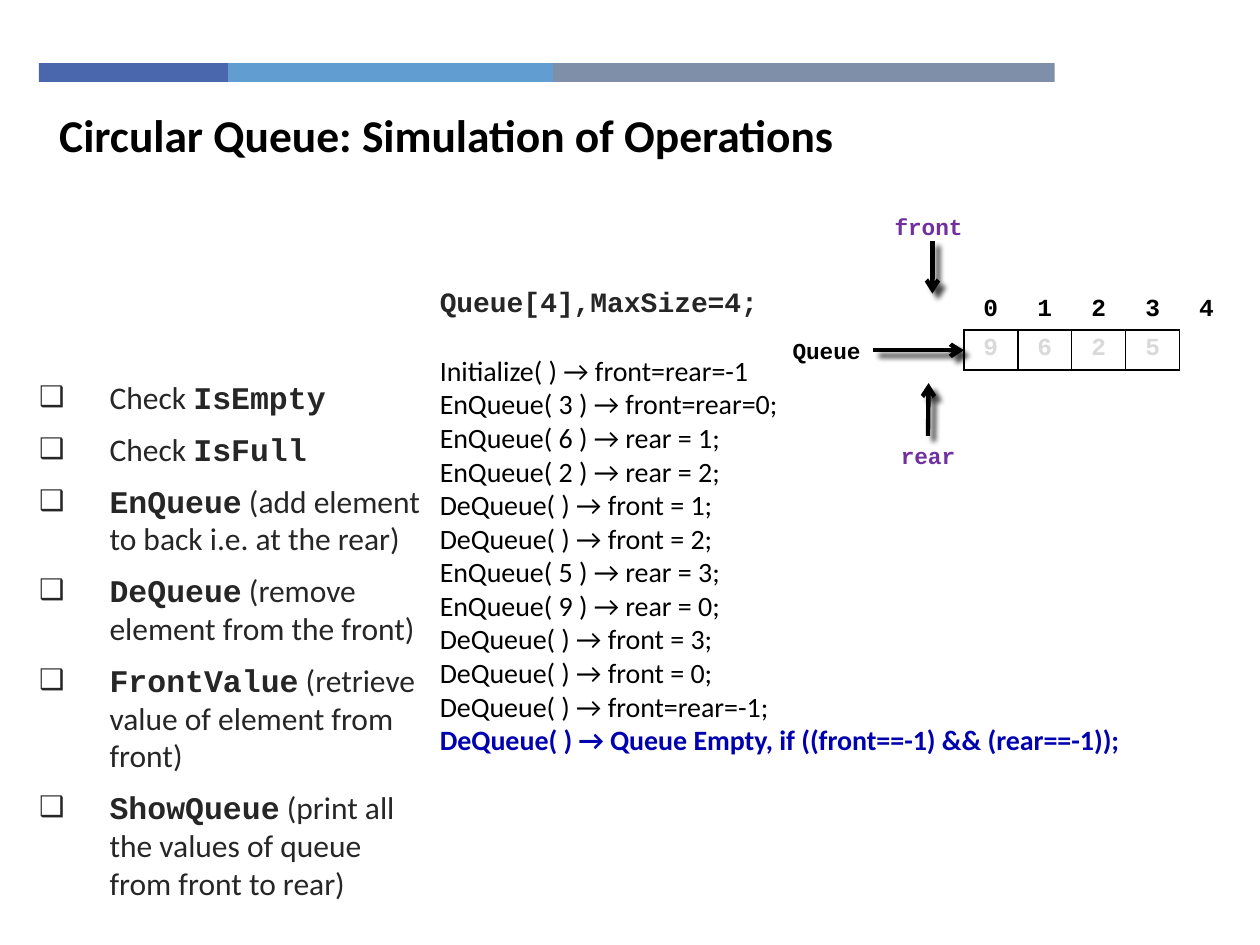
from lxml import etree
from pptx import Presentation
from pptx.dml.color import RGBColor
from pptx.enum.shapes import MSO_CONNECTOR, MSO_SHAPE
from pptx.enum.text import MSO_ANCHOR, MSO_AUTO_SIZE, PP_ALIGN
from pptx.oxml.ns import qn
from pptx.util import Pt

PX = 9144  # 100 px to the inch
RECT = MSO_SHAPE.RECTANGLE
LINE = MSO_CONNECTOR.STRAIGHT
TOP = MSO_ANCHOR.TOP
FIT, FIXED = MSO_AUTO_SIZE.SHAPE_TO_FIT_TEXT, MSO_AUTO_SIZE.NONE
LEFT, CENTER = PP_ALIGN.LEFT, PP_ALIGN.CENTER

BLACK = RGBColor(0x00, 0x00, 0x00)
DARK = RGBColor(0x26, 0x26, 0x26)
PALE = RGBColor(0xD9, 0xD9, 0xD9)
PURPLE = RGBColor(0x70, 0x30, 0xA0)
NAVY = RGBColor(0x00, 0x00, 0xB0)
BARS = [
    (150, RGBColor(0x4A, 0x66, 0xAC)),
    (258, RGBColor(0x62, 0x9D, 0xD1)),
    (398, RGBColor(0x7F, 0x8F, 0xA9)),
]
SANS, MONO = "Calibri", "Courier New"

TASKS = [
    [("Check ", SANS), ("IsEmpty", MONO)],
    [("Check ", SANS), ("IsFull", MONO)],
    [("EnQueue", MONO), (" (add element to back i.e. at the rear)", SANS)],
    [("DeQueue", MONO), (" (remove element from the front)", SANS)],
    [("FrontValue", MONO), (" (retrieve value of element from front)", SANS)],
    [("ShowQueue", MONO), (" (print all the values of queue from front to rear)", SANS)],
]
SETUP = "Queue[4],MaxSize=4;"
STEPS = [
    "Initialize( ) → front=rear=-1",
    "EnQueue( 3 ) → front=rear=0;",
    "EnQueue( 6 ) → rear = 1;",
    "EnQueue( 2 ) → rear = 2;",
    "DeQueue( ) → front = 1;",
    "DeQueue( ) → front = 2;",
    "EnQueue( 5 ) → rear = 3;",
    "EnQueue( 9 ) → rear = 0;",
    "DeQueue( ) → front = 3;",
    "DeQueue( ) → front = 0;",
    "DeQueue( ) → front=rear=-1;",
]
LAST = "DeQueue( ) → Queue Empty, if ((front==-1) && (rear==-1));"
CELLS = [["0", "1", "2", "3", "4"], ["9", "6", "2", "5", ""]]


def px(*nums):
    return [round(n * PX) for n in nums]


def add(node, tag, **attrs):
    return etree.SubElement(node, qn(tag), {k: str(v) for k, v in attrs.items()})


def style(run, size, face, color, bold=False):
    font = run.font
    font.size, font.name, font.bold = Pt(size), face, bold
    font.color.rgb = color


def place(holder, box):
    """Move a placeholder to its box and return its text frame."""
    holder.left, holder.top, holder.width, holder.height = px(*box)
    frame = holder.text_frame
    frame.word_wrap, frame.auto_size = True, FIXED
    frame.vertical_anchor = TOP
    return frame


def next_para(frame, i):
    return frame.add_paragraph() if i else frame.paragraphs[0]


def add_bars(slide, x, y, high):
    for wide, color in BARS:
        bar = slide.shapes.add_shape(RECT, *px(x, y, wide, high))
        bar.shadow.inherit = False
        bar.fill.solid()
        bar.fill.fore_color.rgb = color
        bar.line.fill.background()
        x += wide


def fill_title(holder, box):
    para = place(holder, box).paragraphs[0]
    para.text = "Circular Queue: Simulation of Operations"
    para.alignment = LEFT
    style(para.runs[0], 26, SANS, BLACK, True)


def fill_tasks(holder, box):
    frame = place(holder, box)
    for i, parts in enumerate(TASKS):
        para = next_para(frame, i)
        para.space_before = para.space_after = Pt(4)
        for text, face in parts:
            run = para.add_run()
            run.text = text
            style(run, 18, face, DARK, face == MONO)
        props = para._p.get_or_add_pPr()
        props.set("marL", str(56 * PX))
        props.set("indent", str(-56 * PX))
        add(props, "a:buSzPct", val=90000)
        add(props, "a:buChar", char="❑")


def fill_steps(holder, box):
    frame = place(holder, box)
    rows = [(SETUP, MONO, DARK, True)]
    rows += [(step, SANS, BLACK, False) for step in STEPS]
    rows.append((LAST, SANS, NAVY, True))
    for i, (text, face, color, bold) in enumerate(rows):
        para = next_para(frame, i)
        para.text = text
        para.space_before = Pt(20 if i == 1 else 0)
        style(para.runs[0], 16, face, color, bold)
        props = para._p.get_or_add_pPr()
        props.set("marL", "0")
        props.set("indent", "0")
        add(props, "a:buNone")


def add_edges(cell, sides):
    props = cell._tc.get_or_add_tcPr()
    for side in sides:
        edge = add(props, "a:ln" + side, w=12700)
        add(add(edge, "a:solidFill"), "a:srgbClr", val=BLACK)


def add_cells(slide, x, y, wide, high):
    rows, cols = len(CELLS), len(CELLS[0])
    table = slide.shapes.add_table(rows, cols, *px(x, y, wide, high)).table
    table.first_row = table.horz_banding = False
    for r, line in enumerate(CELLS):
        for c, text in enumerate(line):
            cell = table.cell(r, c)
            cell.margin_left = cell.margin_right = 7 * PX
            cell.margin_top = cell.margin_bottom = 4 * PX
            if c < cols - 1:
                add_edges(cell, "LRTB" if r else "B")
            elif r:
                add_edges(cell, "L")
            cell.fill.background()
            para = cell.text_frame.paragraphs[0]
            para.alignment = CENTER
            if text:
                para.text = text
                style(para.runs[0], 14, MONO, PALE if r else BLACK, True)
            else:
                add(para._p, "a:endParaRPr", sz=1400)


def add_label(slide, text, color, box):
    label = slide.shapes.add_textbox(*px(*box))
    frame = label.text_frame
    frame.word_wrap, frame.auto_size = False, FIT
    para = frame.paragraphs[0]
    para.text = text
    para.alignment = CENTER
    style(para.runs[0], 13, MONO, color, True)
    return label


def add_arrow(slide, start, end):
    arrow = slide.shapes.add_connector(LINE, *px(*start, *end))
    arrow.line.color.rgb = BLACK
    arrow.line.width = Pt(2.5)
    add(arrow.line._get_or_add_ln(), "a:tailEnd", type="arrow")
    cast = add(add(arrow._element.spPr, "a:effectLst"), "a:outerShdw",
               blurRad=Pt(3), dist=Pt(4.5), dir=2700000, rotWithShape=0)
    add(add(cast, "a:srgbClr", val=BLACK), "a:alpha", val=75000)
    return arrow


def add_queue(slide, x, y):
    """Draw the array with its labels and pointers from the corner x, y."""
    add_cells(slide, x + 146, y + 67, 214, 62)
    rear = add_label(slide, "rear", PURPLE, (x + 86, y + 182, 63, 32))
    add_arrow(slide, (x + 118, y + 182), (x + 118, y + 140)).begin_connect(rear, 0)
    add_label(slide, "front", PURPLE, (x + 80, y, 76, 32))
    add_arrow(slide, (x + 121, y + 27), (x + 121, y + 69))
    name = add_label(slide, "Queue", BLACK, (x, y + 98, 74, 32))
    add_arrow(slide, (x + 74, y + 114), (x + 146, y + 114)).begin_connect(name, 3)


def main():
    deck = Presentation()
    deck.slide_width, deck.slide_height = px(1000, 750)
    slide = deck.slides.add_slide(deck.slide_layouts[3])
    title, tasks, steps = list(slide.placeholders)[:3]
    add_bars(slide, 31, 50, 15)
    fill_title(title, (37, 80, 775, 101))
    fill_tasks(tasks, (21, 295, 323, 450))
    fill_steps(steps, (339, 221, 635, 433))
    add_queue(slide, 619, 164)
    deck.save("out.pptx")


if __name__ == "__main__":
    main()
